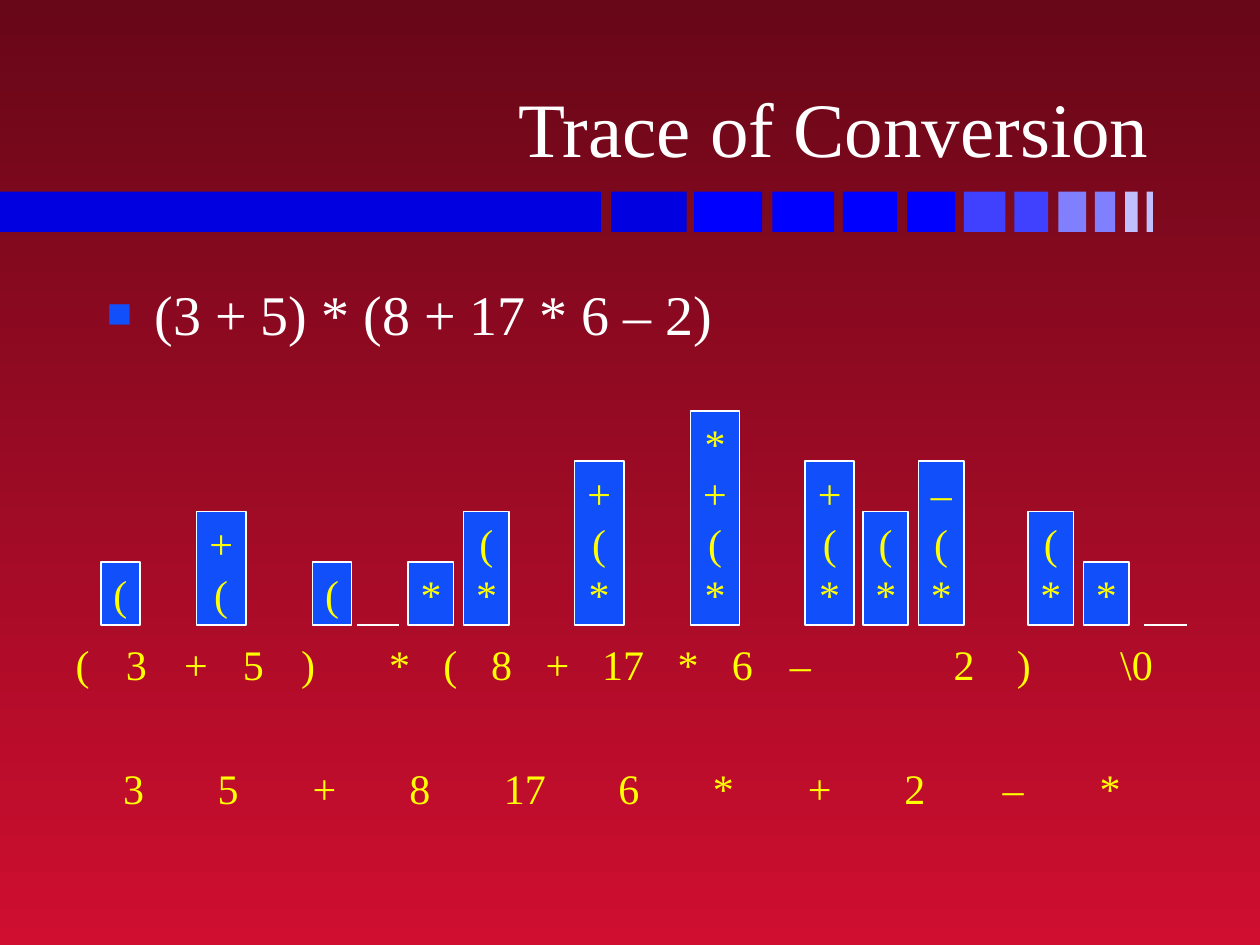
from lxml import etree
from pptx import Presentation
from pptx.dml.color import RGBColor
from pptx.enum.shapes import MSO_CONNECTOR, MSO_SHAPE
from pptx.enum.text import MSO_ANCHOR, MSO_AUTO_SIZE, PP_ALIGN
from pptx.oxml.ns import qn
from pptx.util import Inches, Pt

RECT = MSO_SHAPE.RECTANGLE
STRAIGHT = MSO_CONNECTOR.STRAIGHT
TOP, BOTTOM = MSO_ANCHOR.TOP, MSO_ANCHOR.BOTTOM
LEFT, CENTER, RIGHT = PP_ALIGN.LEFT, PP_ALIGN.CENTER, PP_ALIGN.RIGHT
GROW = MSO_AUTO_SIZE.SHAPE_TO_FIT_TEXT
FONT = "Times New Roman"
WHITE, YELLOW, BLUE = "FFFFFF", "FFFF00", "114FFB"
LINE_W = Pt(1)
SYMBOL_W = {"(": 0.31, ")": 0.31, "+": 0.39, "17": 0.53, "\\0": 0.46}

BAR = [(0, 4.77, "0000E0"), (4.85, 0.6, "0000E0"), (5.51, 0.54, "0000FF"),
       (6.13, 0.49, "0000FF"), (6.69, 0.43, "0000FF"), (7.2, 0.38, "0000FF"),
       (7.65, 0.33, "4040FF"), (8.05, 0.27, "4040FF"), (8.4, 0.22, "8080FF"),
       (8.69, 0.16, "8080FF"), (8.93, 0.1, "C0C0FF"), (9.1, 0.05, "C0C0FF")]
STACKS = [(0.8, "("), (1.56, "+("), (2.48, "("), (3.24, "*"), (3.68, "(*"),
          (4.56, "+(*"), (5.48, "*+(*"), (6.39, "+(*"), (6.85, "(*"),
          (7.29, "–(*"), (8.16, "(*"), (8.6, "*")]
EMPTY_STACKS = [2.83, 9.08]
INPUT = [(0.5, "("), (0.9, "3"), (1.36, "+"), (1.83, "5"), (2.29, ")"),
         (2.99, "*"), (3.42, "("), (3.8, "8"), (4.23, "+"), (4.68, "17"),
         (5.28, "*"), (5.71, "6"), (6.17, "–"), (7.47, "2"), (7.97, ")"),
         (8.79, "\\0")]
OUTPUT = [(0.88, "3"), (1.63, "5"), (2.38, "+"), (3.15, "8"), (3.9, "17"),
          (4.81, "6"), (5.56, "*"), (6.31, "+"), (7.08, "2"), (7.86, "–"),
          (8.63, "*")]


def rgb(value):
    """Turn a hex string into a colour."""
    return RGBColor.from_string(value)


def symbol_width(symbol):
    """Return the width of a box that fits one symbol."""
    return SYMBOL_W.get(symbol, 0.36)


def add_rect(s, x, y, w, h, fill, line=None):
    """Add a flat rectangle with an optional outline."""
    sp = s.shapes.add_shape(RECT, Inches(x), Inches(y), Inches(w), Inches(h))
    sp.shadow.inherit = False
    sp.fill.solid()
    sp.fill.fore_color.rgb = rgb(fill)
    if line:
        sp.line.color.rgb = rgb(line)
        sp.line.width = LINE_W
    else:
        sp.line.fill.background()
    return sp


def write(sp, lines, size, color, align, anchor, wrap=True):
    """Write one paragraph per line into a shape."""
    tf = sp.text_frame
    tf.word_wrap = wrap
    tf.vertical_anchor = anchor
    tf.margin_left = tf.margin_right = Inches(0.1)
    tf.margin_top = tf.margin_bottom = Inches(0.05)
    if not wrap:
        tf.auto_size = GROW
    for i, line in enumerate(lines):
        p = tf.add_paragraph() if i else tf.paragraphs[0]
        p.alignment = align
        r = p.add_run()
        r.text = line
        r.font.size = Pt(size)
        r.font.name = FONT
        r.font.color.rgb = rgb(color)
    return tf


def add_text(s, x, y, w, h, *style):
    """Add a text box holding styled lines."""
    sp = s.shapes.add_textbox(Inches(x), Inches(y), Inches(w), Inches(h))
    return write(sp, *style)


def add_bullet(p):
    """Give a paragraph a small blue square bullet and hanging indent."""
    pPr = p._p.get_or_add_pPr()
    pPr.set("marL", str(Inches(0.38)))
    pPr.set("indent", str(Inches(-0.38)))
    clr = etree.SubElement(pPr, qn("a:buClr"))
    etree.SubElement(clr, qn("a:srgbClr")).set("val", BLUE)
    etree.SubElement(pPr, qn("a:buSzPct")).set("val", "75000")
    etree.SubElement(pPr, qn("a:buFont")).set("typeface", FONT)
    etree.SubElement(pPr, qn("a:buChar")).set("char", "■")


def add_background(s):
    """Fill the slide with a dark to bright red gradient."""
    fill = s.background.fill
    fill.gradient()
    fill.gradient_angle = 270
    for stop, color in zip(fill.gradient_stops, ("670718", "CF0E30")):
        stop.color.rgb = rgb(color)


def add_bar(s, x, y, h):
    """Draw the fading row of blocks under the title."""
    for dx, w, color in BAR:
        add_rect(s, x + dx, y, w, h, color)


def add_stacks(s, x, base):
    """Draw the operator stacks standing on a base line."""
    for dx, symbols in STACKS:
        w = max(map(symbol_width, symbols))
        h = 0.1 + 0.4 * len(symbols)
        sp = add_rect(s, x + dx, base - h, w, h, BLUE, WHITE)
        write(sp, symbols, 24, YELLOW, CENTER, BOTTOM, False)
    for dx in EMPTY_STACKS:
        left = x + dx
        line = s.shapes.add_connector(STRAIGHT, Inches(left), Inches(base),
                                      Inches(left + 0.34), Inches(base))
        line.line.color.rgb = rgb(WHITE)
        line.line.width = LINE_W
        etree.SubElement(line._element.spPr, qn("a:effectLst"))


def add_symbols(s, x, y, symbols):
    """Place a row of single symbols."""
    for dx, symbol in symbols:
        add_text(s, x + dx, y, symbol_width(symbol), 0.5,
                 [symbol], 24, YELLOW, CENTER, TOP, False)


def build_trace_slide(prs):
    """Build the slide tracing an infix to postfix conversion."""
    s = prs.slides.add_slide(prs.slide_layouts[6])
    add_background(s)
    add_bar(s, 0, 1.52, 0.32)
    add_text(s, 0.74, 0.19, 8.48, 1.23,
             ["Trace of Conversion"], 44, WHITE, RIGHT, BOTTOM)
    tf = add_text(s, 0.75, 2.17, 8.5, 4.5,
                  ["(3 + 5) * (8 + 17 * 6 – 2)"], 32, WHITE, LEFT, TOP)
    p = tf.paragraphs[0]
    p.space_before = Pt(8)
    add_bullet(p)
    add_stacks(s, 0, 4.96)
    add_symbols(s, 0, 5.02, INPUT)
    add_symbols(s, 0, 6, OUTPUT)


prs = Presentation()
prs.slide_width, prs.slide_height = Inches(10), Inches(7.5)
build_trace_slide(prs)
prs.save("out.pptx")
